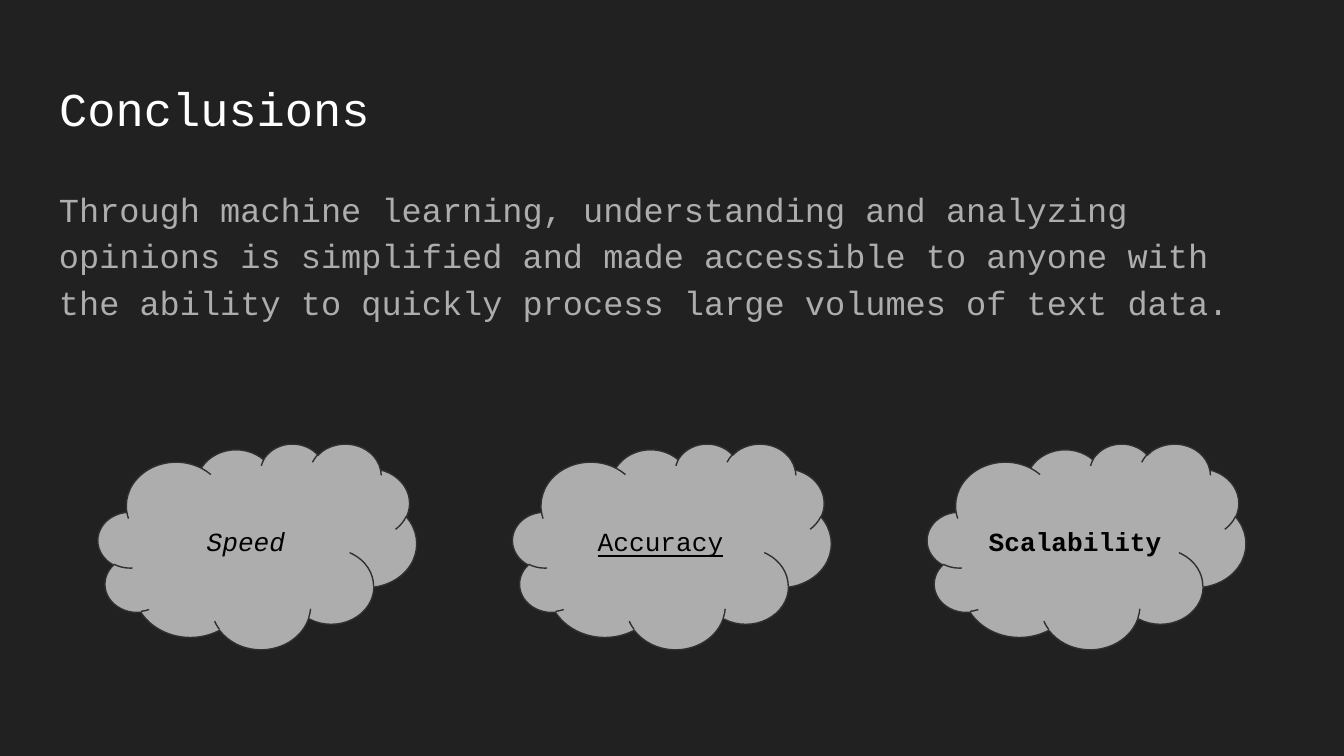
from pptx import Presentation
from pptx.dml.color import RGBColor
from pptx.enum.shapes import MSO_SHAPE as Shape
from pptx.enum.text import MSO_ANCHOR as Anchor, MSO_AUTO_SIZE as AutoSize, PP_ALIGN as Align
from pptx.util import Inches, Pt

FONT = "Courier New"
BODY_TEXT = (
    "Through machine learning, understanding and analyzing opinions is "
    "simplified and made accessible to anyone with the ability to quickly "
    "process large volumes of text data."
)
# Each benefit is emphasised in its own way
BENEFITS = [("Speed", "italic"), ("Accuracy", "underline"), ("Scalability", "bold")]
CLOUD_WIDTH, CLOUD_HEIGHT = 2.37, 1.53
CLOUD_TOP = 3.3
FIRST_LEFT, LAST_LEFT = 0.73, 6.9
CLOUD_STEP = (LAST_LEFT - FIRST_LEFT) / (len(BENEFITS) - 1)


def color(value):
    return RGBColor.from_string(value)


def place(shape, left, top, width, height):
    shape.left, shape.top = Inches(left), Inches(top)
    shape.width, shape.height = Inches(width), Inches(height)


def write(shape, text, size, text_color, align=Align.LEFT, anchor=Anchor.TOP):
    """Fill a shape with one formatted paragraph and return it."""
    frame = shape.text_frame
    frame.word_wrap = True
    frame.auto_size = AutoSize.NONE
    frame.vertical_anchor = anchor
    frame.margin_left = frame.margin_right = Inches(0.1)
    frame.margin_top = frame.margin_bottom = Inches(0.1)
    para = frame.paragraphs[0]
    para.text = text
    para.alignment = align
    para.font.name = FONT
    para.font.size = Pt(size)
    para.font.color.rgb = color(text_color)
    return para


def add_title(slide, text):
    title = slide.shapes.title
    place(title, 0.34, 0.49, 9.32, 0.63)
    write(title, text, 25.2, "FFFFFF")


def add_body(slide, text):
    box = slide.shapes.add_textbox(Inches(0.34), Inches(1.26), Inches(9.32), Inches(3.74))
    para = write(box, text, 18, "ADADAD")
    para.line_spacing = 1.15
    para.space_after = Pt(12)


def add_cloud(slide, left, text, emphasis):
    cloud = slide.shapes.add_shape(
        Shape.CLOUD, Inches(left), Inches(CLOUD_TOP), Inches(CLOUD_WIDTH), Inches(CLOUD_HEIGHT)
    )
    cloud.shadow.inherit = False
    cloud.fill.solid()
    cloud.fill.fore_color.rgb = color("ADADAD")
    cloud.line.color.rgb = color("303030")
    cloud.line.width = Pt(0.75)
    para = write(cloud, text, 14, "000000", Align.CENTER, Anchor.MIDDLE)
    setattr(para.font, emphasis, True)


def main():
    # Widescreen 16:9 deck
    deck = Presentation()
    deck.slide_width = Inches(10)
    deck.slide_height = Inches(10 * 9 / 16)
    slide = deck.slides.add_slide(deck.slide_layouts[5])

    # Dark background
    slide.background.fill.solid()
    slide.background.fill.fore_color.rgb = color("212121")

    # Heading and summary
    add_title(slide, "Conclusions")
    add_body(slide, BODY_TEXT)

    # Evenly spaced row of benefits
    for index, (text, emphasis) in enumerate(BENEFITS):
        add_cloud(slide, FIRST_LEFT + index * CLOUD_STEP, text, emphasis)

    deck.save("out.pptx")


if __name__ == "__main__":
    main()
